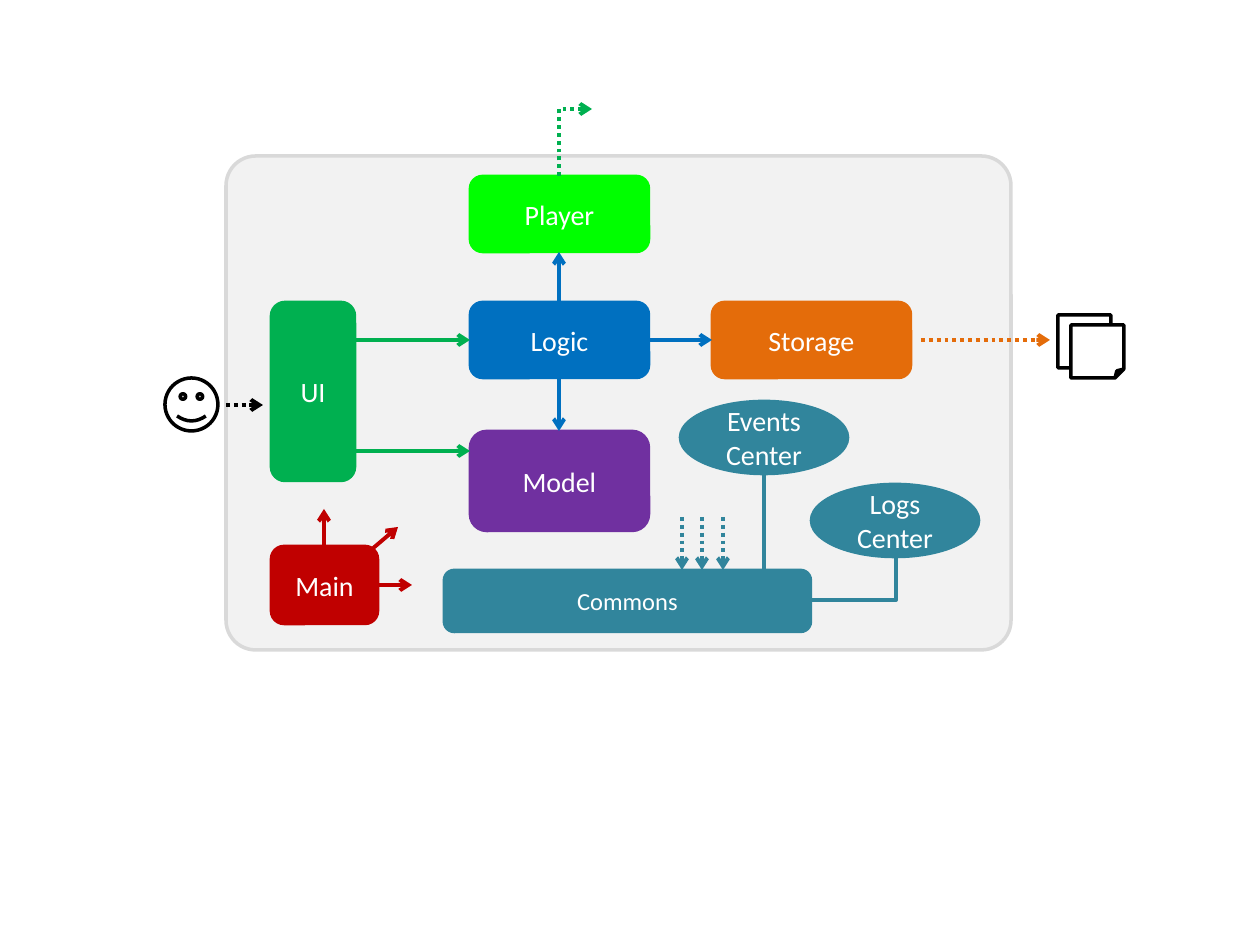
from dataclasses import dataclass

from lxml import etree
from pptx import Presentation
from pptx.dml.color import RGBColor
from pptx.enum.dml import MSO_LINE
from pptx.enum.shapes import MSO_CONNECTOR, MSO_SHAPE
from pptx.enum.text import MSO_ANCHOR, PP_ALIGN
from pptx.oxml.ns import qn
from pptx.util import Pt

ROUNDED = MSO_SHAPE.ROUNDED_RECTANGLE
ELLIPSE = MSO_SHAPE.OVAL
SMILEY = MSO_SHAPE.SMILEY_FACE
FOLDED = MSO_SHAPE.FOLDED_CORNER
STRAIGHT = MSO_CONNECTOR.STRAIGHT
ELBOW = MSO_CONNECTOR.ELBOW
DOTTED = MSO_LINE.ROUND_DOT  # written to the file as sysDot
MIDDLE = MSO_ANCHOR.MIDDLE
CENTER = PP_ALIGN.CENTER

PX_PER_INCH = 126
EMU_PER_PX = 914400 / PX_PER_INCH

Point = tuple[int, int]


@dataclass(frozen=True)
class Theme:
    font: str = "Calibri"
    label_size: int = 16
    commons_size: int = 14
    box_line: float = 1.5
    outline: float = 2
    arrow_line: float = 2.25
    white: str = "FFFFFF"
    black: str = "000000"
    system_fill: str = "F2F2F2"
    system_line: str = "D9D9D9"
    ui: str = "00B050"
    logic: str = "0070C0"
    storage: str = "E46C0A"
    model: str = "7030A0"
    commons: str = "31859C"
    main: str = "C00000"
    player: str = "00FF00"


THEME = Theme()


@dataclass(frozen=True)
class Component:
    label: str
    left: int
    top: int
    width: int
    height: int
    color: str
    kind: MSO_SHAPE = ROUNDED
    size: int = THEME.label_size


@dataclass(frozen=True)
class Link:
    start: Point
    end: Point
    color: str
    dotted: bool = False
    arrow: bool = True
    bent: bool = False


def px(length: float) -> int:
    return round(length * EMU_PER_PX)


def draw_shape(shapes, kind, left: int, top: int, width: int, height: int,
               fill: str, line: str, weight: float):
    shape = shapes.add_shape(kind, px(left), px(top), px(width), px(height))
    shape.shadow.inherit = False
    shape.fill.solid()
    shape.fill.fore_color.rgb = RGBColor.from_string(fill)
    shape.line.color.rgb = RGBColor.from_string(line)
    shape.line.width = Pt(weight)
    return shape


def draw_component(shapes, part: Component) -> None:
    shape = draw_shape(shapes, part.kind, part.left, part.top, part.width,
                       part.height, part.color, part.color, THEME.box_line)
    frame = shape.text_frame
    frame.word_wrap = True
    frame.vertical_anchor = MIDDLE
    paragraph = frame.paragraphs[0]
    paragraph.text = part.label
    paragraph.alignment = CENTER
    paragraph.font.name = THEME.font
    paragraph.font.size = Pt(part.size)
    paragraph.font.color.rgb = RGBColor.from_string(THEME.white)


def add_elbow(shapes, start: Point, end: Point):
    """One-corner elbow that leaves vertically: down then left, or up then right."""
    (x1, y1), (x2, y2) = start, end
    center_x, center_y = (x1 + x2) / 2, (y1 + y2) / 2
    half_run, half_rise = abs(y2 - y1) / 2, abs(x2 - x1) / 2
    elbow = shapes.add_connector(
        ELBOW, px(center_x - half_run), px(center_y - half_rise),
        px(center_x + half_run), px(center_y + half_rise))
    properties = elbow._element.spPr
    properties.find(qn("a:prstGeom")).set("prst", "bentConnector2")
    quarter_turns = 1 if y2 > y1 else 3
    properties.find(qn("a:xfrm")).set("rot", str(quarter_turns * 90 * 60000))
    return elbow


def draw_link(shapes, link: Link) -> None:
    if link.bent:
        connector = add_elbow(shapes, link.start, link.end)
    else:
        connector = shapes.add_connector(
            STRAIGHT, *map(px, link.start), *map(px, link.end))
    connector.line.color.rgb = RGBColor.from_string(link.color)
    connector.line.width = Pt(THEME.arrow_line)
    if link.dotted:
        connector.line.dash_style = DOTTED
    properties = connector._element.spPr
    if link.arrow:
        etree.SubElement(properties.find(qn("a:ln")), qn("a:tailEnd"), type="arrow")
    etree.SubElement(properties, qn("a:effectLst"))


COMPONENTS = [
    Component("UI", 271, 302, 84, 179, THEME.ui),
    Component("Logic", 470, 302, 179, 76, THEME.logic),
    Component("Storage", 712, 302, 199, 76, THEME.storage),
    Component("Model", 470, 431, 179, 100, THEME.model),
    Component("Player", 470, 176, 179, 76, THEME.player),
    Component("Main", 271, 546, 107, 78, THEME.main),
    Component("Commons", 444, 570, 367, 62, THEME.commons, size=THEME.commons_size),
    Component("Events Center", 680, 401, 168, 73, THEME.commons, ELLIPSE),
    Component("Logs\vCenter", 811, 484, 168, 73, THEME.commons, ELLIPSE),
]

LINKS = [
    # UI to Logic and Model
    Link((354, 340), (470, 340), THEME.ui),
    Link((354, 451), (470, 451), THEME.ui),
    # Logic to Model, Storage and Player
    Link((559, 378), (559, 431), THEME.logic),
    Link((649, 340), (712, 340), THEME.logic),
    Link((559, 302), (559, 252), THEME.logic),
    # Across the system border: user, files, playback
    Link((226, 405), (263, 405), THEME.black, dotted=True),
    Link((921, 340), (1050, 340), THEME.storage, dotted=True),
    Link((559, 176), (592, 109), THEME.ui, dotted=True, bent=True),
    # Main to the other components
    Link((378, 585), (412, 585), THEME.main),
    Link((358, 561), (398, 527), THEME.main),
    Link((324, 551), (324, 509), THEME.main),
    # Components that use Commons
    *(Link((x, 517), (x, 570), THEME.commons, dotted=True) for x in (682, 702, 723)),
    # Centers belonging to Commons
    Link((764, 474), (764, 570), THEME.commons, arrow=False),
    Link((896, 558), (811, 600), THEME.commons, arrow=False, bent=True),
]


def main() -> None:
    deck = Presentation()
    deck.slide_width, deck.slide_height = px(1260), px(945)
    shapes = deck.slides.add_slide(deck.slide_layouts[6]).shapes

    # System boundary
    system = draw_shape(shapes, ROUNDED, 226, 156, 785, 494,
                        THEME.system_fill, THEME.system_line, THEME.outline)
    system.adjustments[0] = 0.06

    # Components and their links
    for component in COMPONENTS:
        draw_component(shapes, component)
    for link in LINKS:
        draw_link(shapes, link)

    # User and stored files
    for kind, left, top in ((SMILEY, 165, 378), (FOLDED, 1058, 315), (FOLDED, 1071, 325)):
        draw_shape(shapes, kind, left, top, 53, 53,
                   THEME.white, THEME.black, THEME.outline)

    deck.save("out.pptx")


if __name__ == "__main__":
    main()
